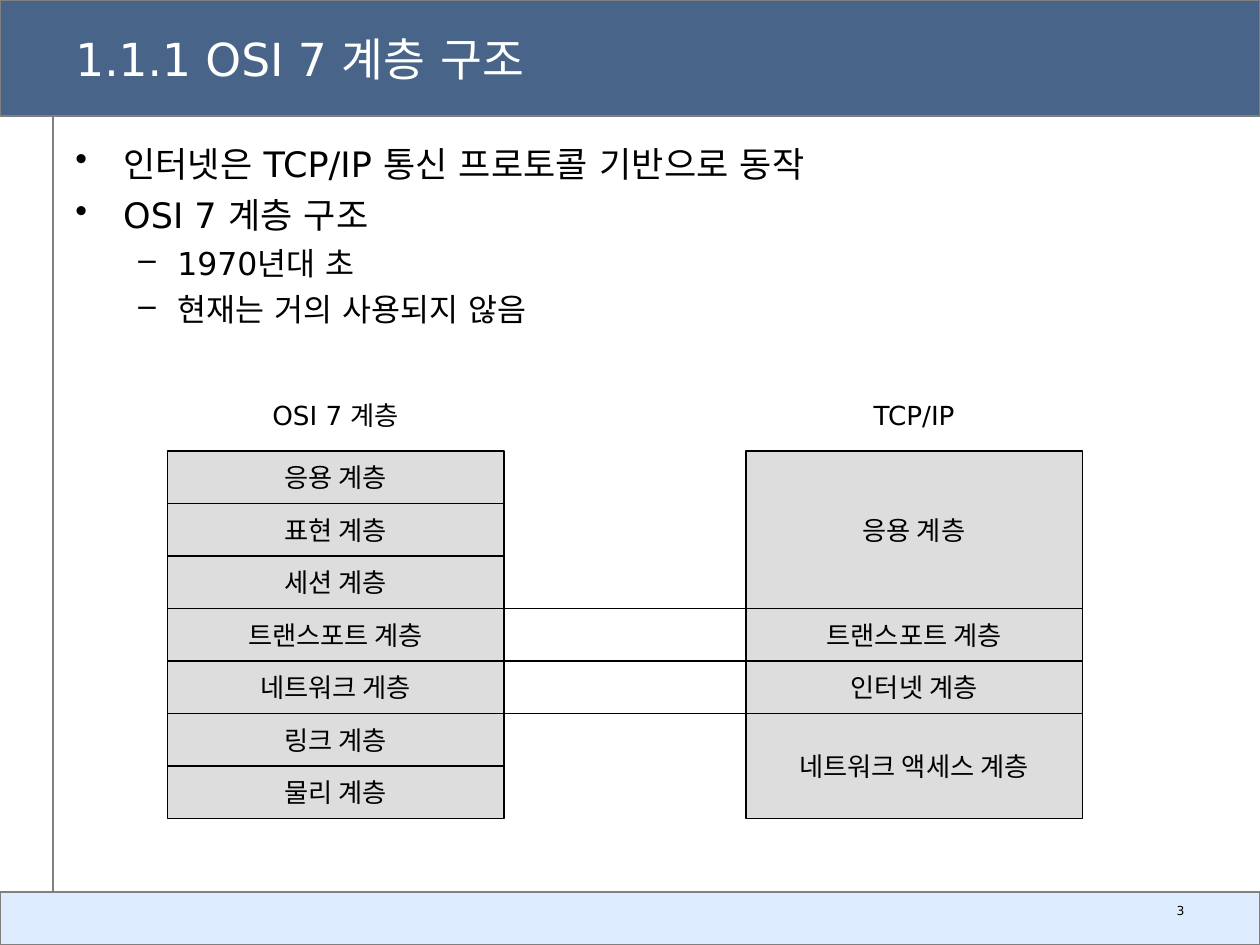
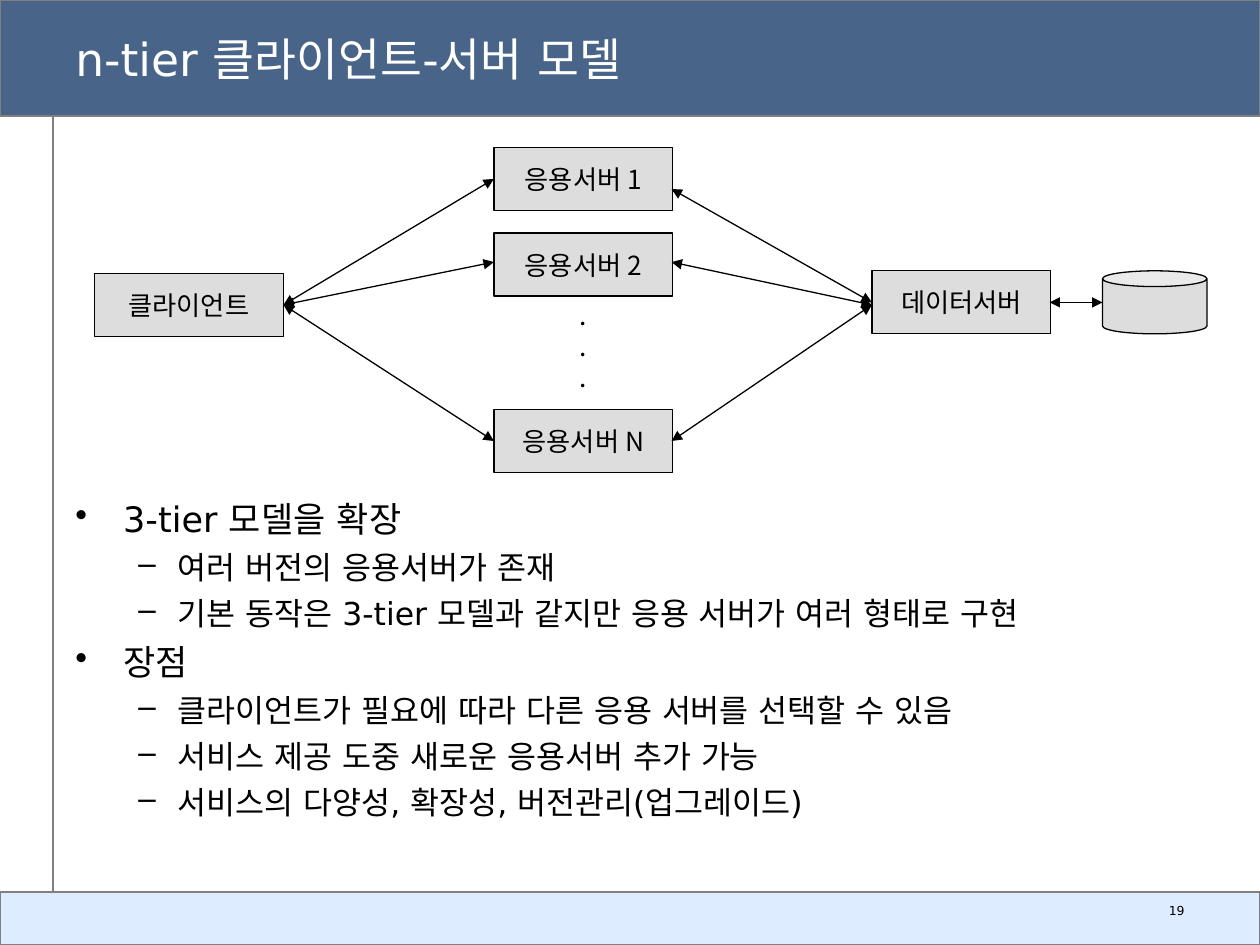
from lxml.etree import SubElement
from pptx import Presentation
from pptx.dml.color import RGBColor
from pptx.enum.shapes import MSO_CONNECTOR, MSO_SHAPE
from pptx.enum.text import MSO_ANCHOR, PP_ALIGN
from pptx.oxml.ns import qn
from pptx.util import Inches, Pt

COLORS = {"title band": "486488", "footer band": "DDECFF", "rule": "808080",
          "box": "DDDDDD", "black": "000000", "white": "FFFFFF"}
LATIN = "DejaVu Sans"
KOREAN = "Noto Sans CJK KR"
LINE_HEIGHT = 1.21


def add_box(page, left, top, width, height, text="", fill=None, line="black",
            kind=MSO_SHAPE.RECTANGLE, size=15, font=KOREAN, color="black",
            align=PP_ALIGN.CENTER, anchor=MSO_ANCHOR.MIDDLE, wrap=False):
    """Add a filled shape, or a plain text box when there is no fill."""
    place = [Inches(length) for length in (left, top, width, height)]
    if fill:
        box = page.shapes.add_shape(kind, *place)
        box.shadow.inherit = False
        box.fill.solid()
        box.fill.fore_color.rgb = RGBColor.from_string(COLORS[fill])
        box.line.color.rgb = RGBColor.from_string(COLORS[line])
        box.line.width = Pt(0.75)
    else:
        box = page.shapes.add_textbox(*place)
    frame = box.text_frame
    frame.word_wrap = wrap
    frame.vertical_anchor = anchor
    frame.text = text
    for para in frame.paragraphs:
        para.alignment = align
        for span in para.runs:
            span.font.size = Pt(size)
            span.font.color.rgb = RGBColor.from_string(COLORS[color])
            span.font.name = font
            SubElement(span.font._element, qn("a:ea"), typeface=font)
    return box


def add_line(page, start, end, color="black", arrows=False):
    """Add a thin straight line, with an arrowhead at both ends if asked."""
    line = page.shapes.add_connector(
        MSO_CONNECTOR.STRAIGHT, *[Inches(length) for length in (*start, *end)])
    line.line.color.rgb = RGBColor.from_string(COLORS[color])
    line.line.width = Pt(0.75)
    properties = line.element.spPr
    if arrows:
        for tag in ("a:headEnd", "a:tailEnd"):
            SubElement(properties.find(qn("a:ln")), qn(tag), type="triangle")
    SubElement(properties, qn("a:effectLst"))


deck = Presentation()
deck.slide_width, deck.slide_height = Inches(10), Inches(7.5)

# Title, page number, top of the bullets, and bullets as (level, text)
contents = [
    ("1.1.1 OSI 7 계층 구조", 3, 1.08, [
        (0, "인터넷은 TCP/IP 통신 프로토콜 기반으로 동작"),
        (0, "OSI 7 계층 구조"),
        (1, "1970년대 초"),
        (1, "현재는 거의 사용되지 않음"),
    ]),
    ("n-tier 클라이언트-서버 모델", 19, 3.9, [
        (0, "3-tier 모델을 확장"),
        (1, "여러 버전의 응용서버가 존재"),
        (1, "기본 동작은 3-tier 모델과 같지만 응용 서버가 여러 형태로 구현"),
        (0, "장점"),
        (1, "클라이언트가 필요에 따라 다른 응용 서버를 선택할 수 있음"),
        (1, "서비스 제공 도중 새로운 응용서버 추가 가능"),
        (1, "서비스의 다양성, 확장성, 버전관리(업그레이드)"),
    ]),
]
# Per level: bullet sign, text indent, hanging part, size, space before
levels = [("•", 0.38, 0.38, 20, 5), ("–", 0.81, 0.31, 18, 4.5)]

# Shared frame and bullets
for title, number, body_top, bullets in contents:
    page = deck.slides.add_slide(deck.slide_layouts[6])
    add_box(page, 0, 7.08, 10, 0.42, fill="footer band", line="rule")
    add_box(page, 0, 0, 10, 0.92, fill="title band", line="rule")
    add_line(page, (0.42, 0.92), (0.42, 7.08), "rule")
    add_box(page, 0.5, 0.17, 9, 0.58, title, size=26, font=LATIN,
            color="white", align=PP_ALIGN.LEFT, wrap=True)
    footer = add_box(page, 7.17, 7.14, 2.33, 0.25, str(number), size=7.1,
                     font=LATIN, align=PP_ALIGN.RIGHT, anchor=MSO_ANCHOR.TOP,
                     wrap=True)
    footer.text_frame.paragraphs[0].line_spacing = 0.8

    body = add_box(page, 0.5, body_top, 9, 7 - body_top,
                   "\n".join(text for _, text in bullets), font=LATIN,
                   align=PP_ALIGN.LEFT, anchor=MSO_ANCHOR.TOP, wrap=True)
    for index, para in enumerate(body.text_frame.paragraphs):
        level = bullets[index][0]
        sign, indent, hanging, size, gap = levels[level]
        para.level = level
        para.line_spacing = Pt(size * LINE_HEIGHT)
        para.space_before = Pt(gap if index else 0)
        para.runs[0].font.size = Pt(size)
        properties = para._p.get_or_add_pPr()
        properties.set("marL", str(Inches(indent)))
        properties.set("indent", str(-Inches(hanging)))
        SubElement(properties, qn("a:buChar"), char=sign)

layers_page, tiers_page = deck.slides

# Layer stacks: each layer with the number of rows it covers
stack_top, row_height, stack_width = 3.58, 5 / 12, 2.67
stacks = [
    (1.33, "OSI 7 계층", [
        ("응용 계층", 1), ("표현 계층", 1), ("세션 계층", 1), ("트랜스포트 계층", 1),
        ("네트워크 게층", 1), ("링크 계층", 1), ("물리 계층", 1)]),
    (5.92, "TCP/IP", [
        ("응용 계층", 3), ("트랜스포트 계층", 1), ("인터넷 계층", 1),
        ("네트워크 액세스 계층", 2)]),
]
for left, heading, layers in stacks:
    add_box(layers_page, left, 3.08, stack_width, 0.42, heading, font=LATIN)
    row = 0
    for layer, rows in layers:
        add_box(layers_page, left, stack_top + row * row_height, stack_width,
                rows * row_height, layer, fill="box")
        row += rows

# Lines between matching layers
for row, left, right in [(3, 4, 5.92), (4, 3.92, 6), (5, 3.92, 6.08)]:
    level_top = stack_top + row * row_height
    add_line(layers_page, (left, level_top), (right, level_top))

# Client, application servers, data server and its storage
server_left, server_width, tier_height = 3.92, 1.42, 0.5
add_box(tiers_page, 0.75, 2.17, 1.5, tier_height, "클라이언트", fill="box")
add_box(tiers_page, 6.92, 2.15, server_width, tier_height, "데이터서버", fill="box")
add_box(tiers_page, 8.75, 2.15, 0.83, tier_height, fill="box", kind=MSO_SHAPE.CAN)
for name, top in [("1", 1.17), ("2", 1.85), ("N", 3.25)]:
    add_box(tiers_page, server_left, top, server_width, tier_height,
            f"응용서버 {name}", fill="box")
dots = add_box(tiers_page, server_left, 2.5, server_width, tier_height, ".\n.\n.")
for para in dots.text_frame.paragraphs:
    para.line_spacing = Pt(17.7)

# Two-way arrows
for client_side, data_side, data_end in [(1.42, 1.5, 2.4), (2.08, 2.08, 2.42),
                                         (3.5, 3.5, 2.42)]:
    add_line(tiers_page, (2.25, 2.42), (3.92, client_side), arrows=True)
    add_line(tiers_page, (5.33, data_side), (6.92, data_end), arrows=True)
add_line(tiers_page, (8.33, 2.4), (8.75, 2.4), arrows=True)

deck.save("out.pptx")
